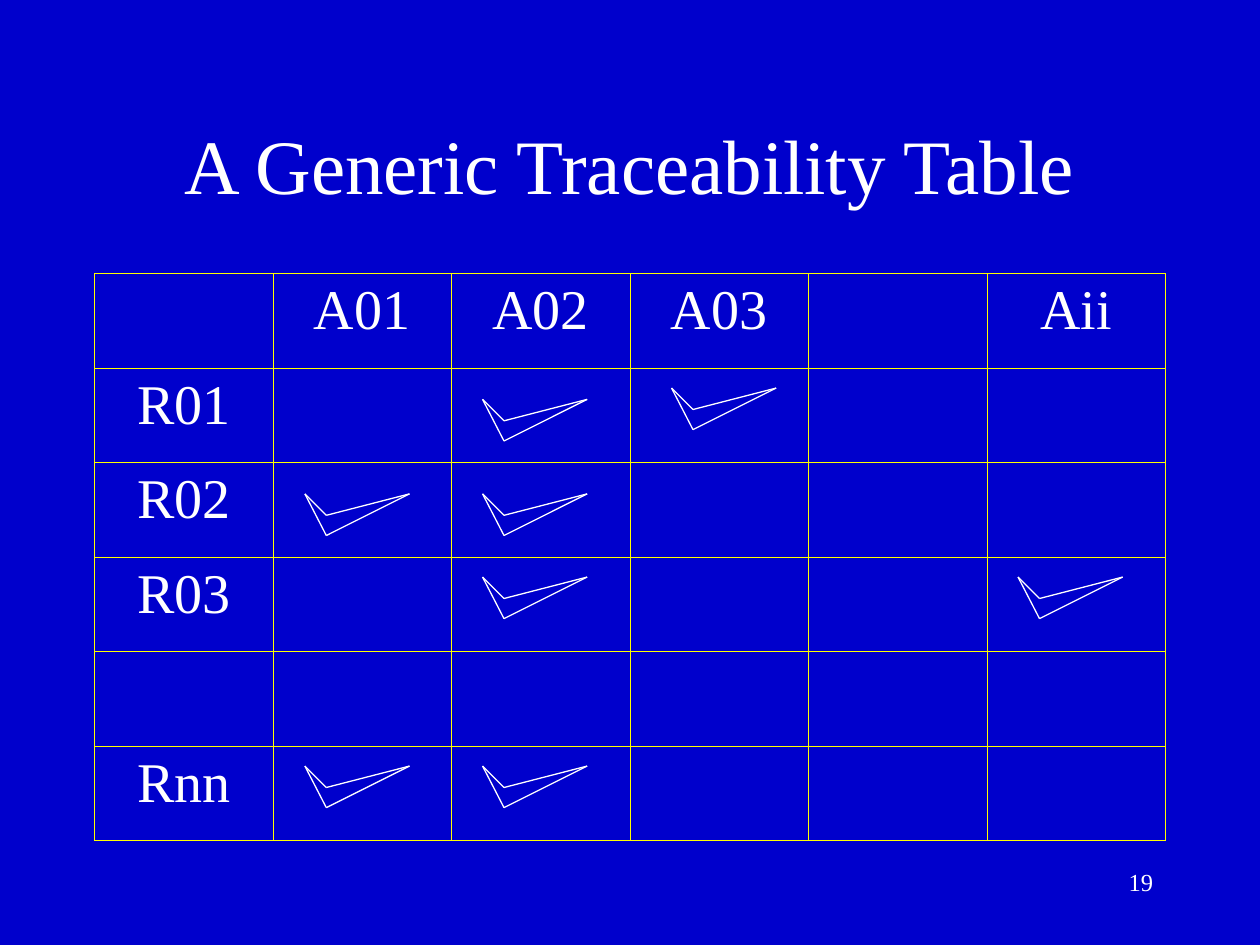
from lxml import etree
from pptx import Presentation
from pptx.dml.color import RGBColor
from pptx.enum.shapes import MSO_CONNECTOR
from pptx.enum.text import MSO_ANCHOR, PP_ALIGN
from pptx.oxml.ns import qn
from pptx.util import Inches, Pt

COLORS = {"background": "0000CC", "ink": "FFFFFF", "grid": "FFFF00"}
FONT = "Times New Roman"


def write(frame, text, size, align):
    paragraph = frame.paragraphs[0]
    paragraph.alignment = align
    run = paragraph.add_run()
    run.text = text
    run.font.color.rgb = RGBColor.from_string(COLORS["ink"])
    for name, value in {"name": FONT, "size": Pt(size)}.items():
        setattr(run.font, name, value)


def add_borders(cell):
    properties = cell._tc.get_or_add_tcPr()
    for position, side in enumerate(("a:lnL", "a:lnR", "a:lnT", "a:lnB")):
        border = etree.Element(qn(side), w=str(Pt(0.45)))
        fill = etree.SubElement(border, qn("a:solidFill"))
        etree.SubElement(fill, qn("a:srgbClr"), val=COLORS["grid"])
        properties.insert(position, border)


presentation = Presentation()
presentation.slide_width = Inches(10)
presentation.slide_height = Inches(7.5)
slide = presentation.slides.add_slide(presentation.slide_layouts[6])
slide.background.fill.solid()
slide.background.fill.fore_color.rgb = RGBColor.from_string(COLORS["background"])

# Title and page number
labels = [
    ("A Generic Traceability Table", 44, PP_ALIGN.CENTER, MSO_ANCHOR.MIDDLE,
     (0.75, 0.67, 8.5, 1.25)),
    ("19", 14, PP_ALIGN.RIGHT, MSO_ANCHOR.TOP, (7.17, 6.83, 2.08, 0.5)),
]
for text, size, align, anchor, box in labels:
    frame = slide.shapes.add_textbox(*map(Inches, box)).text_frame
    for name, value in {"word_wrap": True, "vertical_anchor": anchor}.items():
        setattr(frame, name, value)
    write(frame, text, size, align)

# Traceability table: requirements down, aspects across
aspects = ["", "A01", "A02", "A03", "", "Aii"]
requirements = ["", "R01", "R02", "R03", "", "Rnn"]
table = slide.shapes.add_table(
    len(requirements), len(aspects),
    Inches(0.75), Inches(2.17), Inches(8.5), Inches(4.5)).table
table.first_row = False
table.horz_banding = False
for row, requirement in enumerate(requirements):
    for column, aspect in enumerate(aspects):
        cell = table.cell(row, column)
        cell.fill.background()
        add_borders(cell)
        heading = aspect if row == 0 else requirement if column == 0 else ""
        if heading:
            write(cell.text_frame, heading, 32, PP_ALIGN.CENTER)

# Check marks: each is four lines around its left tip
check_origins = [
    (3.83, 3.17), (5.33, 3.08), (3.83, 3.92), (2.42, 3.92),
    (3.83, 4.58), (8.08, 4.58), (3.83, 6.08), (2.42, 6.08),
]
left_tip, notch, bottom, right_tip = (0, 0), (0.17, 0.17), (0.17, 0.33), (0.83, 0)
strokes = [(left_tip, notch), (left_tip, bottom), (bottom, right_tip), (notch, right_tip)]
for left, top in check_origins:
    check = slide.shapes.add_group_shape()
    for (x1, y1), (x2, y2) in strokes:
        stroke = check.shapes.add_connector(
            MSO_CONNECTOR.STRAIGHT, Inches(left + x1), Inches(top + y1),
            Inches(left + x2), Inches(top + y2))
        stroke.line.color.rgb = RGBColor.from_string(COLORS["ink"])
        stroke.line.width = Pt(0.75)
        etree.SubElement(stroke._element.spPr, qn("a:effectLst"))

presentation.save("out.pptx")
